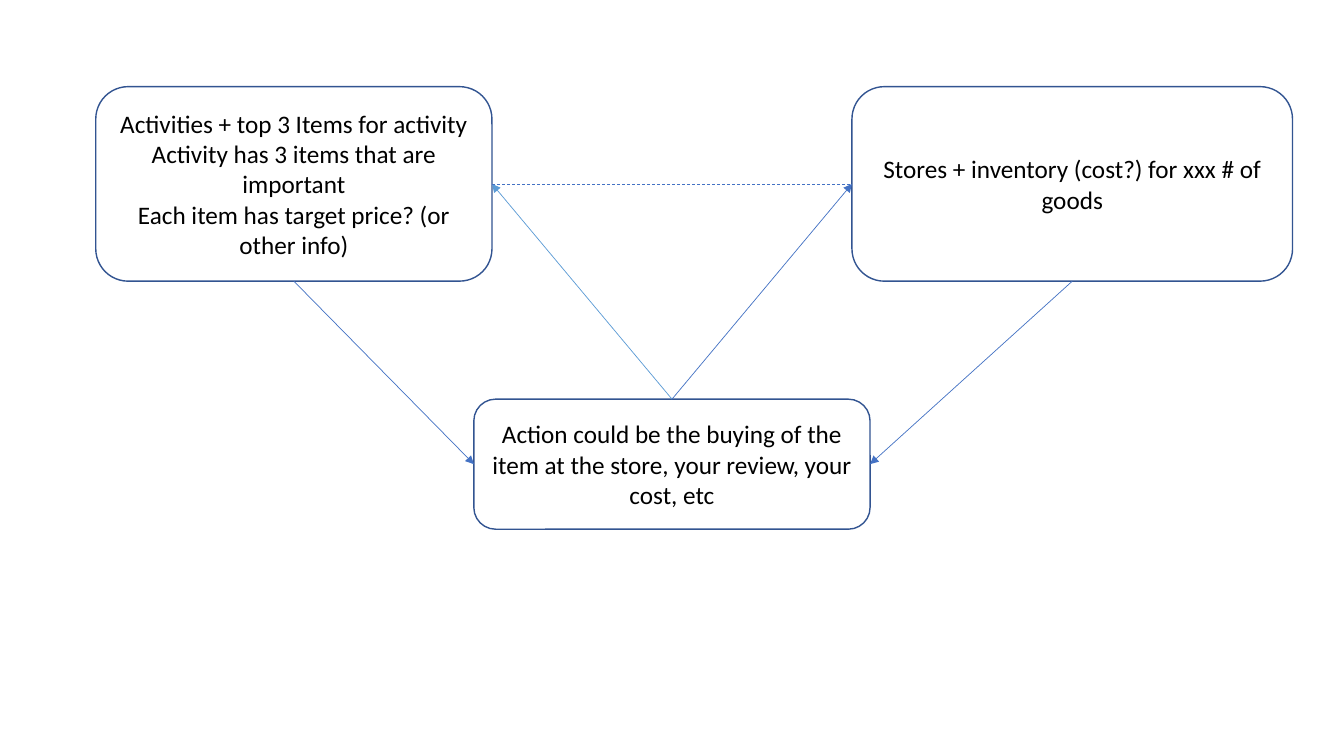
"""Build a slide linking activities, stores and actions with arrows."""
from lxml import etree
from pptx import Presentation
from pptx.dml.color import RGBColor
from pptx.enum import dml, shapes, text
from pptx.oxml import ns
from pptx.util import Inches, Pt


def color(value):
    return RGBColor.from_string(value)


prs = Presentation()
prs.slide_width, prs.slide_height = Inches(13.33), Inches(7.5)
s = prs.slides.add_slide(prs.slide_layouts[6])

BLUE, LIGHT_BLUE = "4472C4", "5B9BD5"
TOP, LEFT, BOTTOM, RIGHT = range(4)

boxes = {}
for name, box, lines in [
    ("stores", (8.45, 0.86, 4.37, 1.93),
     ["Stores + inventory (cost?) for xxx # of goods"]),
    ("activities", (0.95, 0.86, 3.93, 1.93),
     ["Activities + top 3 Items for activity",
      "Activity has 3 items that are important",
      "Each item has target price? (or other info)"]),
    ("action", (4.7, 3.96, 3.93, 1.29),
     ["Action could be the buying of the item at the store, your review, your cost, etc"]),
]:
    sp = s.shapes.add_shape(shapes.MSO_SHAPE.ROUNDED_RECTANGLE, *map(Inches, box))
    sp.shadow.inherit = False
    sp.fill.background()
    sp.line.color.rgb = color("325491")
    sp.line.width = Pt(1)
    tf = sp.text_frame
    tf.word_wrap = True
    tf.vertical_anchor = text.MSO_ANCHOR.MIDDLE
    tf.text = "\n".join(lines)
    for p in tf.paragraphs:
        p.alignment = text.PP_ALIGN.CENTER
        for r in p.runs:
            r.font.name = "Calibri"
            r.font.size = Pt(18)
            r.font.color.rgb = color("000000")
    boxes[name] = sp

for start, start_side, end, end_side, line_color, arrow in [
    ("activities", BOTTOM, "action", LEFT, BLUE, True),
    ("action", TOP, "activities", RIGHT, LIGHT_BLUE, True),
    ("action", TOP, "stores", LEFT, BLUE, True),
    ("stores", BOTTOM, "action", RIGHT, BLUE, True),
    ("activities", RIGHT, "stores", LEFT, BLUE, False),
]:
    link = s.shapes.add_connector(shapes.MSO_CONNECTOR.STRAIGHT, 0, 0, 0, 0)
    link.begin_connect(boxes[start], start_side)
    link.end_connect(boxes[end], end_side)
    link.line.color.rgb = color(line_color)
    link.line.width = Pt(0.5)
    if arrow:
        etree.SubElement(link.line._get_or_add_ln(), ns.qn("a:tailEnd"), type="triangle")
    else:
        link.line.dash_style = dml.MSO_LINE.DASH
    etree.SubElement(link._element.spPr, ns.qn("a:effectLst"))

prs.save("out.pptx")
